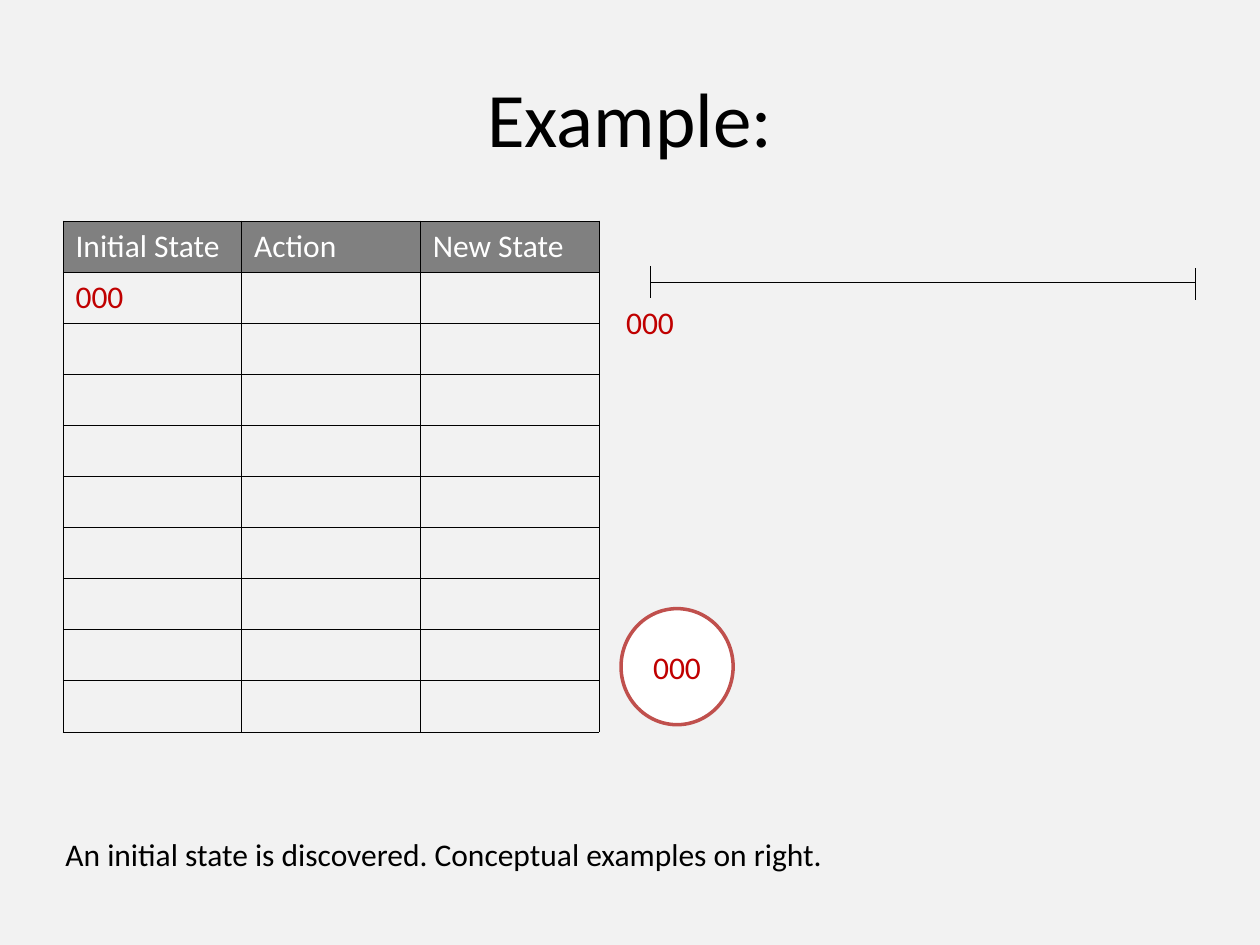
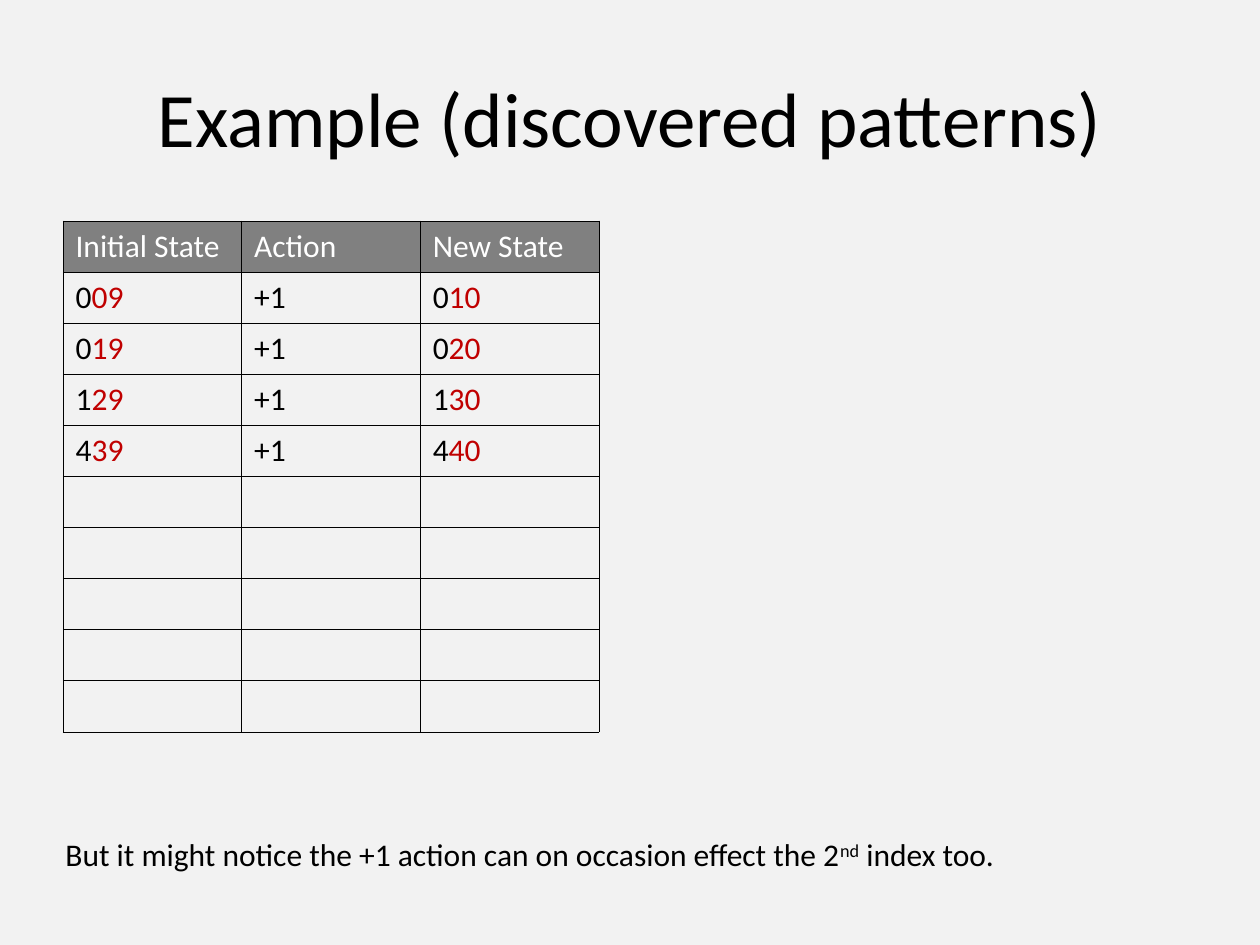
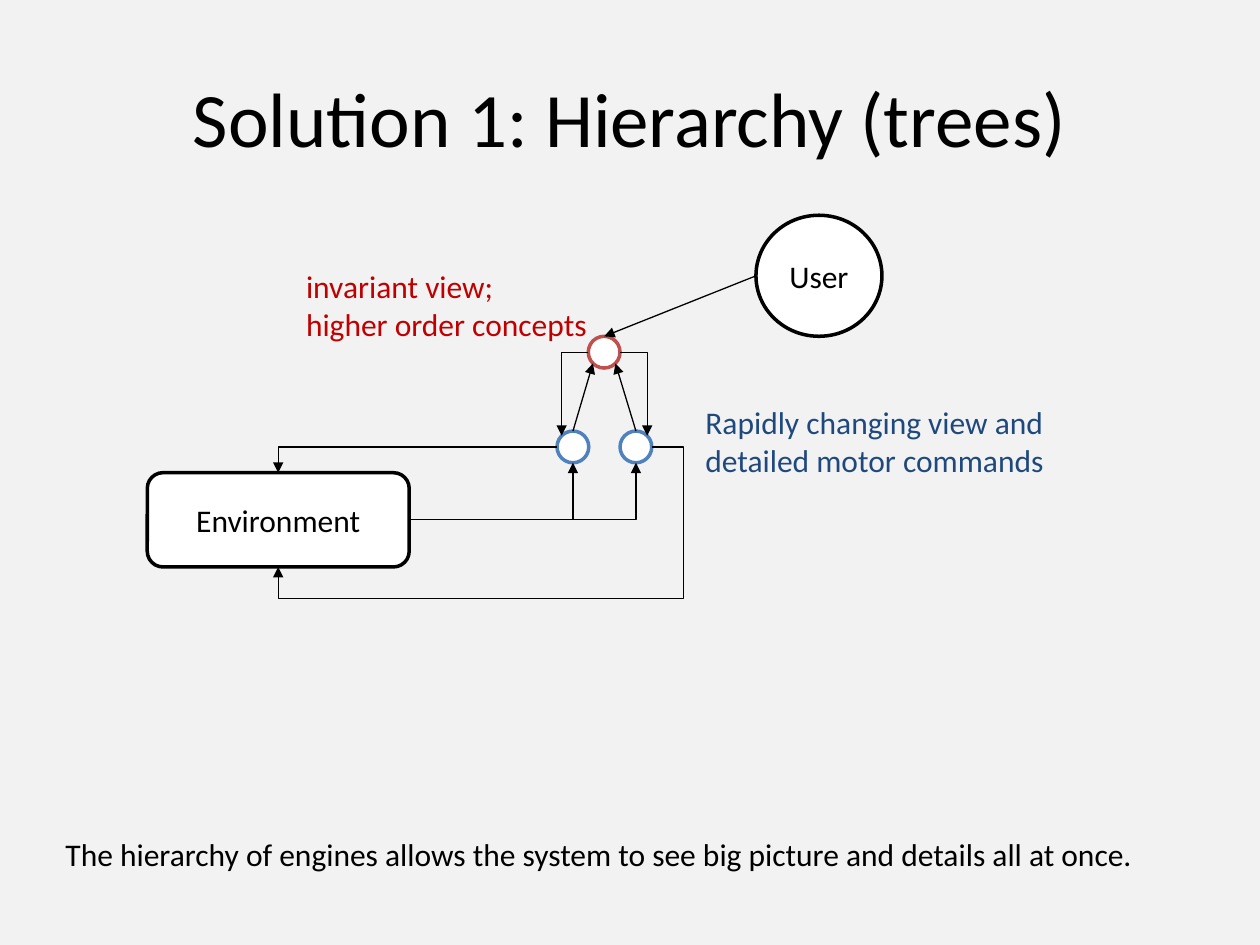
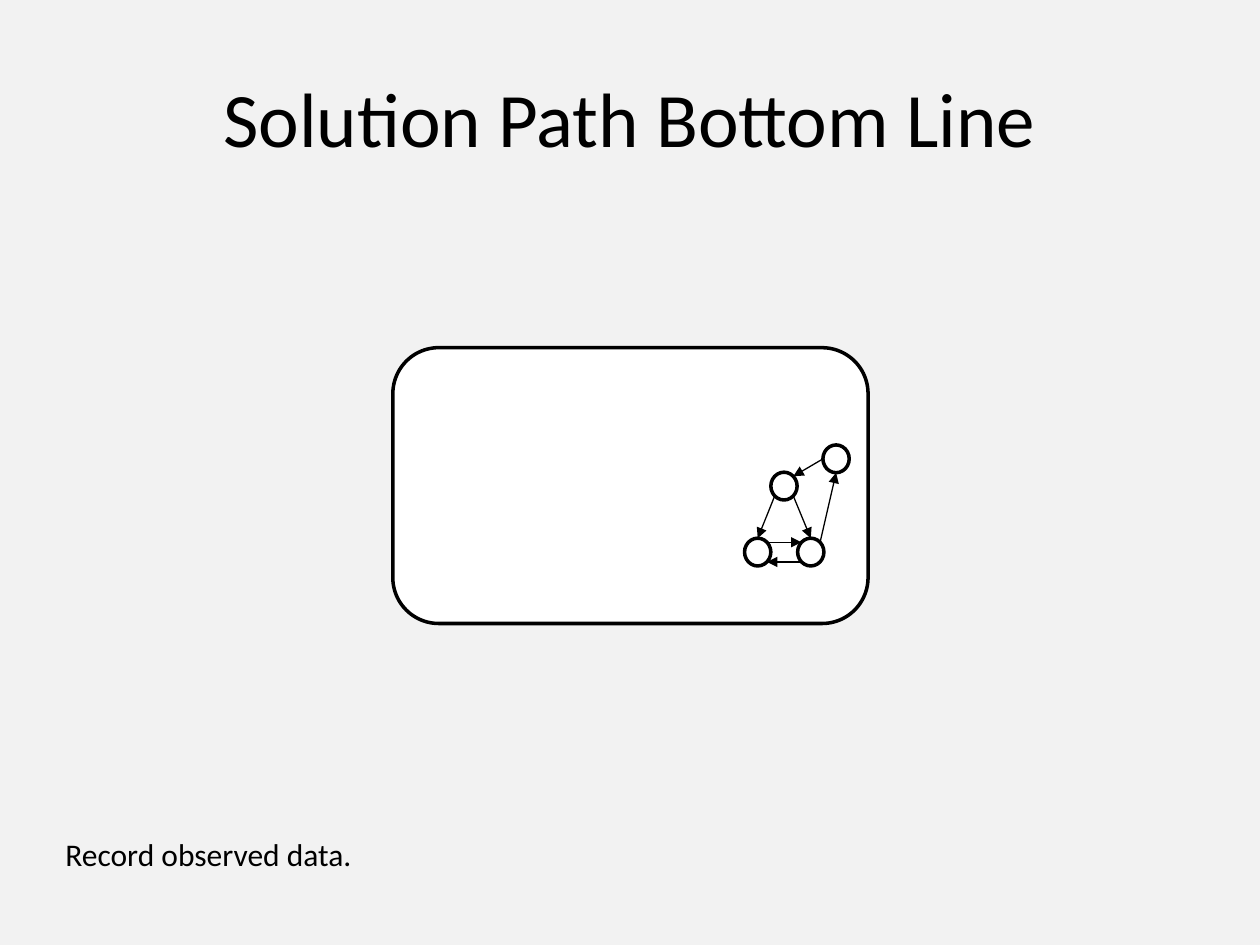
from lxml import etree
from pptx import Presentation
from pptx.dml.color import RGBColor
from pptx.enum import shapes, text
from pptx.oxml import ns
from pptx.util import Cm, Pt

COLORS = {
    "paper": "F2F2F2",
    "white": "FFFFFF",
    "ink": "000000",
    "header": "808080",
    "red": "C00000",
    "red_line": "C0504D",
    "blue_line": "4F81BD",
    "navy": "1F497D",
}
FONT = "Calibri"
HEADINGS = ("Initial State", "Action", "New State")
BODY_ROWS = 9
OVAL = shapes.MSO_SHAPE.OVAL
NODE = shapes.MSO_SHAPE.FLOWCHART_CONNECTOR
ROUNDED = shapes.MSO_SHAPE.ROUNDED_RECTANGLE
NEAR, FAR = 0.146, 0.854  # where the diagonals of a box cut its ellipse

# Connection sites: index, then share of the width and of the height
BOX_SITES = {
    "top": (0, 0.5, 0), "left": (1, 0, 0.5),
    "bottom": (2, 0.5, 1), "right": (3, 1, 0.5),
}
ROUND_SITES = {
    "top": (0, 0.5, 0), "top left": (1, NEAR, NEAR),
    "left": (2, 0, 0.5), "bottom left": (3, NEAR, FAR),
    "bottom": (4, 0.5, 1), "bottom right": (5, FAR, FAR),
    "right": (6, 1, 0.5), "top right": (7, FAR, NEAR),
}


def rgb(name):
    return RGBColor.from_string(COLORS[name])


def add_span(para, words, color="ink", size=18, raised=False):
    span = para.add_run()
    span.text = words
    span.font.name = FONT
    span.font.size = Pt(size)
    span.font.color.rgb = rgb(color)
    if raised:
        span._r.get_or_add_rPr().set("baseline", "30000")


def add_page(deck, title, caption):
    """Add a slide with its title and the sentence at its foot, given as spans."""
    page = deck.slides.add_slide(deck.slide_layouts[5])
    heading = page.shapes.title
    heading.left, heading.top = Cm(1.27), Cm(0.76)
    heading.width, heading.height = Cm(22.86), Cm(3.18)
    heading.text_frame.vertical_anchor = text.MSO_ANCHOR.MIDDLE
    para = heading.text_frame.paragraphs[0]
    para.alignment = text.PP_ALIGN.CENTER
    add_span(para, title, size=44)
    add_label(page, (1.07, 16.71, 23.06, 1.02), [caption])
    return page


def add_label(page, place, lines, align=text.PP_ALIGN.LEFT, wrap=True):
    """Add a text box; each line is a list of spans."""
    box = page.shapes.add_textbox(*map(Cm, place))
    frame = box.text_frame
    frame.word_wrap = wrap
    frame.auto_size = text.MSO_AUTO_SIZE.SHAPE_TO_FIT_TEXT
    for number, spans in enumerate(lines):
        para = frame.add_paragraph() if number else frame.paragraphs[0]
        para.alignment = align
        for span in spans:
            add_span(para, *span)


def add_figure(page, kind, place, outline="ink", words="", color="ink"):
    figure = page.shapes.add_shape(kind, *map(Cm, place))
    figure.shadow.inherit = False
    figure.fill.solid()
    figure.fill.fore_color.rgb = rgb("white")
    figure.line.color.rgb = rgb(outline)
    figure.line.width = Pt(2)
    if words:
        figure.text_frame.vertical_anchor = text.MSO_ANCHOR.MIDDLE
        para = figure.text_frame.paragraphs[0]
        para.alignment = text.PP_ALIGN.CENTER
        add_span(para, words, color)
    return figure


def add_line(page, start, end, kind=shapes.MSO_CONNECTOR.STRAIGHT):
    line = page.shapes.add_connector(kind, *start, *end)
    line.line.color.rgb = rgb("ink")
    line.line.width = Pt(0.75)
    etree.SubElement(line._element.spPr, ns.qn("a:effectLst"))
    return line


def find_site(figure, name):
    """Return the index of a connection site and its point on the slide."""
    boxy = figure.auto_shape_type == ROUNDED
    index, across, down = (BOX_SITES if boxy else ROUND_SITES)[name]
    point = (int(figure.left + across * figure.width),
             int(figure.top + down * figure.height))
    return index, point


def add_arrow(page, source, source_site, target, target_site, bend=None, adjust=()):
    """Join two figures; bend names an elbow preset, adjust its handles."""
    source_index, start = find_site(source, source_site)
    target_index, end = find_site(target, target_site)
    kinds = shapes.MSO_CONNECTOR
    arrow = add_line(page, start, end, kinds.ELBOW if bend else kinds.STRAIGHT)
    etree.SubElement(arrow.line._get_or_add_ln(), ns.qn("a:tailEnd"), type="triangle")
    joints = arrow._element.find(".//" + ns.qn("p:cNvCxnSpPr"))
    for tag, figure, index in (("a:stCxn", source, source_index),
                               ("a:endCxn", target, target_index)):
        etree.SubElement(joints, ns.qn(tag), id=str(figure.shape_id), idx=str(index))
    if bend:
        preset = arrow._element.spPr.find(ns.qn("a:prstGeom"))
        preset.set("prst", bend)
        handles = preset.find(ns.qn("a:avLst"))
        if handles is None:
            handles = etree.SubElement(preset, ns.qn("a:avLst"))
        for number, value in enumerate(adjust, 1):
            etree.SubElement(handles, ns.qn("a:gd"), name=f"adj{number}",
                             fmla=f"val {value}")


def add_borders(cell):
    properties = cell._tc.get_or_add_tcPr()
    for position, side in enumerate(("a:lnL", "a:lnR", "a:lnT", "a:lnB")):
        edge = etree.Element(ns.qn(side), w=str(Pt(0.25)))
        fill = etree.SubElement(edge, ns.qn("a:solidFill"))
        etree.SubElement(fill, ns.qn("a:srgbClr"), val=COLORS["ink"])
        properties.insert(position, edge)


def add_state_table(page, records):
    """Add the state table; each cell of a record is a list of spans."""
    width, height = 3.6, 1.03
    rows = [[[(name, "white")] for name in HEADINGS]] + records
    table = page.shapes.add_table(
        BODY_ROWS + 1, len(HEADINGS), Cm(1.27), Cm(4.45),
        Cm(width * len(HEADINGS)), Cm(height * (BODY_ROWS + 1))).table
    table.first_row = table.horz_banding = False
    for column in table.columns:
        column.width = Cm(width)
    for number, row in enumerate(table.rows):
        row.height = Cm(height)
        for cell in row.cells:
            if number:
                cell.fill.background()
            else:
                cell.fill.solid()
                cell.fill.fore_color.rgb = rgb("header")
            add_borders(cell)
    for number, record in enumerate(rows):
        for column, spans in enumerate(record):
            para = table.cell(number, column).text_frame.paragraphs[0]
            for span in spans:
                add_span(para, *span)


def build_example(deck):
    page = add_page(deck, "Example:", [
        ("An initial state is discovered. Conceptual examples on right.",)])
    add_state_table(page, [[[("000", "red")]]])
    left, right, axis = 13.11, 24.1, 5.69
    for x1, y1, x2, y2 in ((left, axis, right, axis),
                           (left, 5.36, left, 6), (right, 5.41, right, 6.05)):
        add_line(page, (Cm(x1), Cm(y1)), (Cm(x2), Cm(y2)))
    add_label(page, (12.37, 5.99, 1.47, 1.02), [[("000", "red")]],
              text.PP_ALIGN.CENTER)
    add_figure(page, OVAL, (12.52, 12.27, 2.26, 2.34), "red_line", "000", "red")


def build_patterns(deck):
    page = add_page(deck, "Example (discovered patterns)", [
        ("But it might notice the +1 action can on occasion effect the 2",),
        ("nd", "ink", 18, True),
        (" index too.",)])
    states = (("009", "010"), ("019", "020"), ("129", "130"), ("439", "440"))
    add_state_table(page, [
        [[(old[0],), (old[1:], "red")], [("+1",)], [(new[0],), (new[1:], "red")]]
        for old, new in states])


def build_hierarchy(deck):
    page = add_page(deck, "Solution 1: Hierarchy (trees)", [
        ("The hierarchy of engines allows the system to see big picture "
         "and details all at once.",)])
    size = 0.64
    parent = add_figure(page, OVAL, (11.86, 6.78, size, size), "red_line")
    left, right = (add_figure(page, OVAL, (x, 8.69, size, size), "blue_line")
                   for x in (11.23, 12.5))
    world = add_figure(page, ROUNDED, (2.97, 9.53, 5.28, 1.9), words="Environment")
    user = add_figure(page, OVAL, (15.24, 4.34, 2.54, 2.44), words="User")

    corner = "bentConnector2"
    add_arrow(page, world, "right", right, "bottom", corner)
    add_arrow(page, world, "right", left, "bottom", corner)
    add_arrow(page, left, "top", parent, "bottom left")
    add_arrow(page, right, "top", parent, "bottom right")
    add_arrow(page, user, "left", parent, "top")
    add_arrow(page, parent, "right", right, "top right", corner)
    add_arrow(page, parent, "left", left, "top left", corner)
    add_arrow(page, left, "left", world, "top", corner)
    add_arrow(page, right, "right", world, "bottom", "bentConnector4",
              (-8500, 126100))

    add_label(page, (5.92, 5.26, 6.83, 1.8), [
        [("invariant view;", "red")], [("higher order concepts", "red")]])
    add_label(page, (13.97, 8, 7.42, 1.8), [
        [("Rapidly changing view and", "navy")],
        [("detailed motor commands", "navy")]], wrap=False)


def build_bottom_line(deck):
    page = add_page(deck, "Solution Path Bottom Line", [("Record observed data.",)])
    add_figure(page, ROUNDED, (7.92, 7.01, 9.58, 5.56))
    upper, right, left, outer = (
        add_figure(page, NODE, (x, y, 0.53, 0.56))
        for x, y in ((15.54, 9.52), (16.08, 10.85), (15.01, 10.85), (16.59, 8.97)))
    for joint in ((upper, "bottom right", right, "top"),
                  (upper, "bottom left", left, "top"),
                  (left, "top right", right, "top left"),
                  (right, "bottom left", left, "bottom right"),
                  (right, "top right", outer, "bottom"),
                  (outer, "left", upper, "top right")):
        add_arrow(page, *joint)


def main():
    deck = Presentation()
    deck.slide_width, deck.slide_height = Cm(25.4), Cm(19.05)
    backdrop = deck.slide_master.background.fill
    backdrop.solid()
    backdrop.fore_color.rgb = rgb("paper")
    for build in (build_example, build_patterns, build_hierarchy, build_bottom_line):
        build(deck)
    deck.save("out.pptx")


if __name__ == "__main__":
    main()
